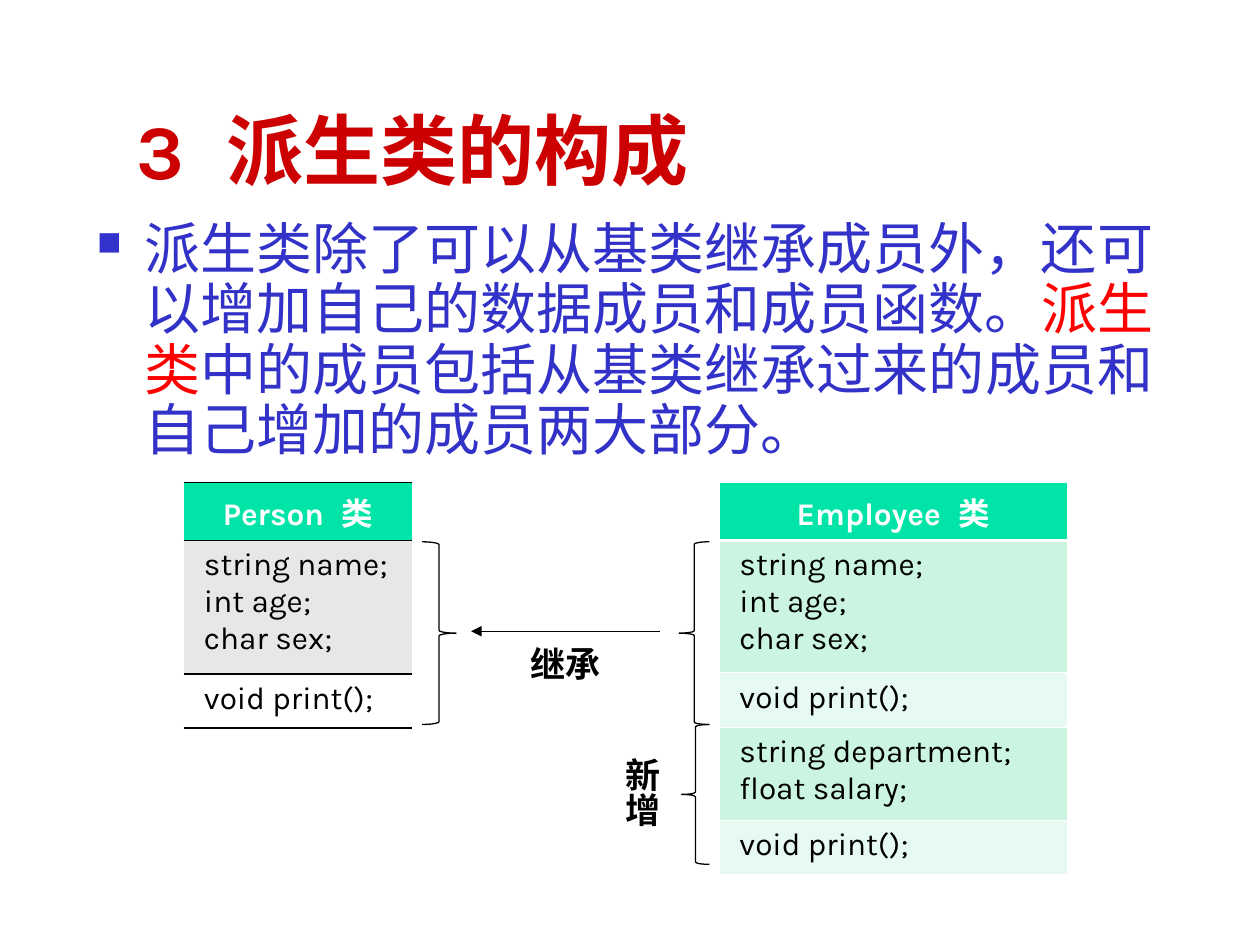
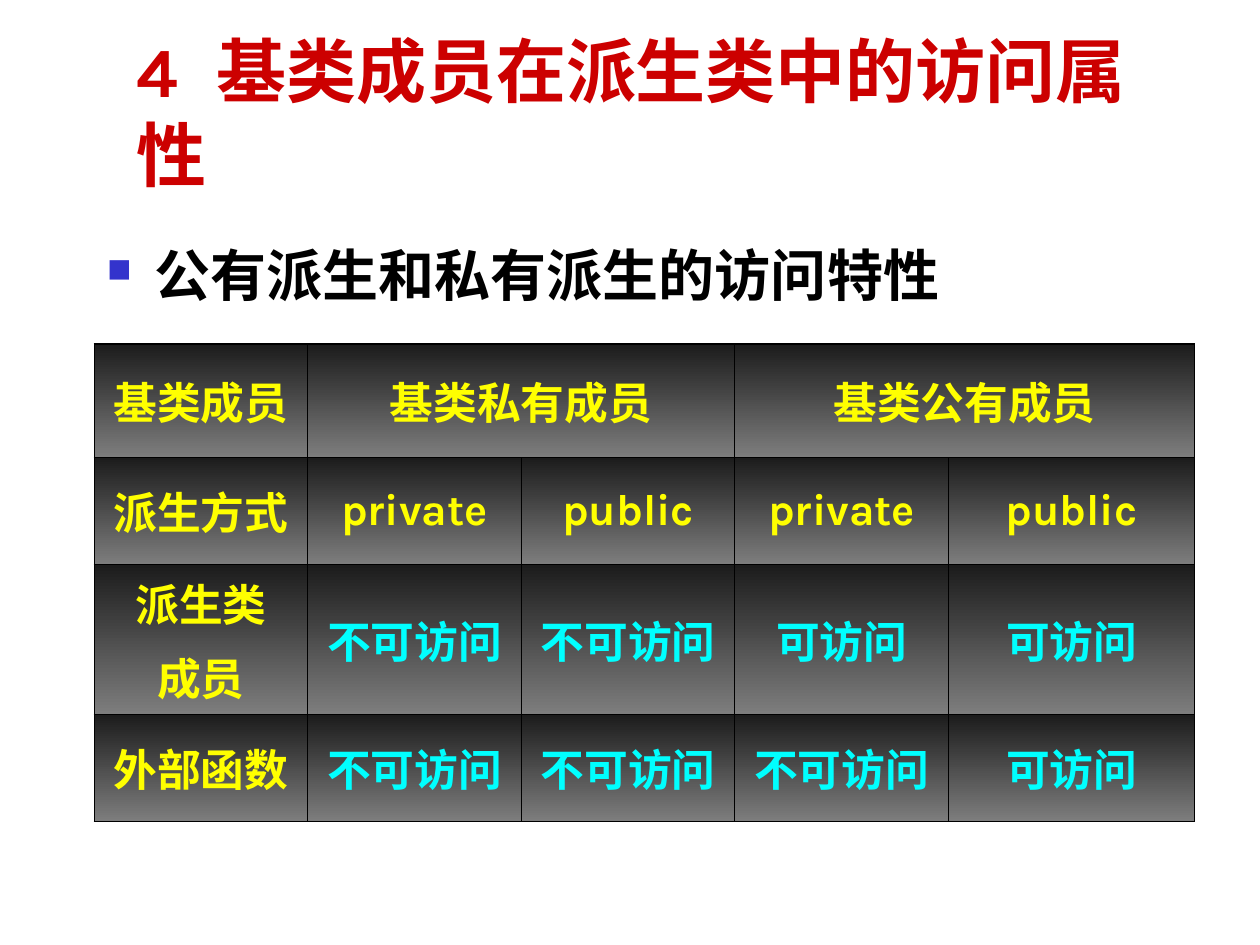
from dataclasses import dataclass
from lxml.etree import SubElement as Sub
from pptx import Presentation
from pptx.dml.color import RGBColor as RGB
from pptx.enum.shapes import MSO_CONNECTOR as Link, MSO_SHAPE as Shape
from pptx.enum.text import MSO_ANCHOR as Anchor, MSO_AUTO_SIZE as Fit, PP_ALIGN as Align
from pptx.oxml.ns import qn
from pptx.util import Emu, Pt

SCALE = 9144
PLAIN = "{2D5ABB26-0587-4C30-8999-92F81FD0307C}"


@dataclass(frozen=True)
class Theme:
    font: str = "Karla"
    title: str = "CC0000"
    text: str = "3232C8"
    mark: str = "3333CC"
    alert: str = "FF0000"
    black: str = "000000"
    white: str = "FFFFFF"
    head: str = "00E4A8"
    gray: str = "E7E7E7"
    mint: str = "CBF5E1"
    pale: str = "E7FAF1"
    dark: str = "1C1C1C"
    light: str = "7D7D7D"
    yellow: str = "FFFF00"
    cyan: str = "00FFFF"
    body: int = 32
    grid: int = 25
    label: int = 20
    code: int = 18


THEME = Theme()
DATA = [" string name;", " int age;", " char sex;"]
PRINT = [" void print();"]
EXTRA = [" string department;", " float salary;"]


def px(*sizes):
    return [Emu(size * SCALE) for size in sizes]


def rgb(color):
    return RGB.from_string(color)


def style(para, size, color, bold=False, align=Align.LEFT):
    para.alignment = align
    font = para.font
    font.name, font.size, font.bold = THEME.font, Pt(size), bold
    font.color.rgb = rgb(color)


def wide(para, left, right, size):
    for text in (left, " ", right):
        run = para.add_run()
        run.text = text
        if text == " ":
            run.font._element.set("spc", str(size * 30))


def title(slide, number, words, size):
    shape = slide.shapes.title
    shape.left, shape.top, shape.width, shape.height = px(98, 60, 852, 100)
    frame = shape.text_frame
    frame.auto_size = Fit.NONE
    frame.vertical_anchor = Anchor.BOTTOM
    para = frame.paragraphs[0]
    wide(para, number, words, size)
    para.line_spacing = Pt(size * 1.2)
    style(para, size, THEME.title, True)


def bullet(slide, box, parts, color, pitch, bold=False):
    frame = slide.shapes.add_textbox(*px(*box)).text_frame
    frame.word_wrap = True
    para = frame.paragraphs[0]
    props = para._p.get_or_add_pPr()
    props.set("marL", str(38 * SCALE))
    props.set("indent", str(-38 * SCALE))
    Sub(Sub(props, qn("a:buClr")), qn("a:srgbClr"), val=THEME.mark)
    Sub(props, qn("a:buSzPct"), val="60000")
    Sub(props, qn("a:buChar"), char="■")
    para.line_spacing = Pt(pitch)
    style(para, THEME.body, color, bold)
    for text, tint in parts:
        run = para.add_run()
        run.text = text
        if tint != color:
            run.font.color.rgb = rgb(tint)


def table(slide, left, top, cols, rows):
    box = px(left, top, sum(cols), sum(rows))
    grid = slide.shapes.add_table(len(rows), len(cols), *box).table
    grid.first_row = grid.horz_banding = False
    next(grid._tbl.iter(qn("a:tableStyleId"))).text = PLAIN
    for col, width in zip(grid.columns, px(*cols)):
        col.width = width
    for row, height in zip(grid.rows, px(*rows)):
        row.height = height
    return grid


def paint(cell, color):
    cell.fill.solid()
    cell.fill.fore_color.rgb = rgb(color)


def border(cell, color, **sides):
    props = cell._tc.get_or_add_tcPr()
    names = [side for side in "LRTB" if side in sides]
    for spot, side in enumerate(names):
        line = Sub(props, qn("a:ln" + side), w=str(Pt(sides[side])))
        Sub(Sub(line, qn("a:solidFill")), qn("a:srgbClr"), val=color)
        props.insert(spot, line)


def fill_in(cell, lines, size, color, bold=False, align=Align.LEFT, gap=0):
    frame = cell.text_frame
    for spot, text in enumerate(lines):
        para = frame.add_paragraph() if spot else frame.paragraphs[0]
        para.add_run().text = text
        if spot and gap:
            para.space_before = Pt(gap)
        style(para, size, color, bold, align)


def members(slide, left, width, name, rows, blocks, fills):
    grid = table(slide, left, 383, [width], rows)
    head = grid.cell(0, 0)
    para = head.text_frame.paragraphs[0]
    wide(para, name, "类", THEME.code)
    style(para, THEME.code, THEME.white, True, Align.CENTER)
    paint(head, THEME.head)
    for row, (lines, color) in enumerate(zip(blocks, fills), 1):
        cell = grid.cell(row, 0)
        fill_in(cell, lines, THEME.code, THEME.black)
        paint(cell, color)
    return grid


def brace(slide, kind, *box):
    shape = slide.shapes.add_shape(kind, *px(*box))
    shape.shadow.inherit = False
    shape.fill.background()
    shape.line.color.rgb = rgb(THEME.black)
    shape.line.width = Pt(0.75)


def arrow(slide, *ends):
    link = slide.shapes.add_connector(Link.STRAIGHT, *px(*ends))
    link.line.color.rgb = rgb(THEME.black)
    link.line.width = Pt(0.75)
    Sub(link.line._get_or_add_ln(), qn("a:tailEnd"), type="triangle")
    Sub(link._element.spPr, qn("a:effectLst"))


def label(slide, text, box, pads, tall=False):
    shape = slide.shapes.add_shape(Shape.RECTANGLE, *px(*box))
    shape.shadow.inherit = False
    shape.fill.solid()
    shape.fill.fore_color.rgb = rgb(THEME.white)
    shape.line.color.rgb = rgb(THEME.white)
    shape.line.width = Pt(2)
    frame = shape.text_frame
    across, down = px(*pads)
    frame.margin_left = frame.margin_right = across
    frame.margin_top = frame.margin_bottom = down
    frame.vertical_anchor = Anchor.TOP
    if tall:
        frame._txBody.bodyPr.set("vert", "eaVert")
    para = frame.paragraphs[0]
    para.add_run().text = text
    style(para, THEME.label, THEME.black, True, Align.CENTER)


def access(slide, rows):
    grid = table(slide, 75, 273, [169, 170, 169, 170, 195], [90, 85, 119, 85])
    last_row, last_col = len(grid.rows), len(grid.columns)
    for col in (1, 3):
        grid.cell(0, col).merge(grid.cell(0, col + 1))
    for row, texts in enumerate(rows):
        for col, text in enumerate(texts):
            cell = grid.cell(row, col)
            if cell.is_spanned:
                continue
            color = THEME.cyan if row > 1 and col else THEME.yellow
            fill_in(cell, text.split("\n"), THEME.grid, color, True, Align.CENTER, 6.2)
            cell.vertical_anchor = Anchor.MIDDLE
            fill = cell.fill
            fill.gradient()
            fill.gradient_angle = 270
            for stop, tint in zip(fill.gradient_stops, (THEME.dark, THEME.light)):
                stop.color.rgb = rgb(tint)
            span = cell.span_width if cell.is_merge_origin else 1
            edges = {"L": col == 0, "R": col + span == last_col,
                     "T": row == 0, "B": row + 1 == last_row}
            border(cell, THEME.black,
                   **{side: 1.08 if outer else 0.45 for side, outer in edges.items()})


def build(slide):
    title(slide, "3", "派生类的构成", 44)
    bullet(slide, (67, 170, 874, 205), [
        ("派生类除了可以从基类继承成员外，还可以增加自己的数据成员和成员函数。", THEME.text),
        ("派生类", THEME.alert),
        ("中的成员包括从基类继承过来的成员和自己增加的成员两大部分。", THEME.text),
    ], THEME.text, 34.5)
    base = members(slide, 146, 181, "Person", [46, 106, 43],
                   [DATA, PRINT], [THEME.gray, THEME.white])
    border(base.cell(0, 0), THEME.black, T=0.96, B=0.96)
    border(base.cell(1, 0), THEME.black, T=0.96)
    border(base.cell(2, 0), THEME.black, B=0.96)
    heir = members(slide, 571, 276, "Employee", [46, 105, 43, 74, 43],
                   [DATA, PRINT, EXTRA, PRINT], [THEME.mint, THEME.pale] * 2)
    for row in range(5):
        border(heir.cell(row, 0), THEME.white, L=0.45, R=0.45,
               T=1.47 if row == 1 else 0.45, B=1.47 if row == 0 else 0.45)
    brace(slide, Shape.RIGHT_BRACE, 335, 430, 27, 145)
    brace(slide, Shape.LEFT_BRACE, 539, 430, 24, 145)
    arrow(slide, 524, 501, 374, 501)
    label(slide, "继承", (398, 505, 102, 44), (10, 5))
    brace(slide, Shape.LEFT_BRACE, 541, 575, 22, 111)
    label(slide, "新增", (478, 591, 53, 91), (5, 10), True)


def rights(slide):
    title(slide, "4", "基类成员在派生类中的访问属性", 40)
    bullet(slide, (75, 186, 835, 60), [("公有派生和私有派生的访问特性", THEME.black)],
           THEME.black, 38.5, True)
    yes, no = "可访问", "不可访问"
    access(slide, [
        ["基类成员", "基类私有成员", "", "基类公有成员", ""],
        ["派生方式"] + ["private", "public"] * 2,
        ["派生类\n成员", no, no, yes, yes],
        ["外部函数", no, no, no, yes],
    ])


def main():
    deck = Presentation()
    deck.slide_width, deck.slide_height = px(1000, 750)
    for draw in (build, rights):
        draw(deck.slides.add_slide(deck.slide_layouts[5]))
    deck.save("out.pptx")


if __name__ == "__main__":
    main()
